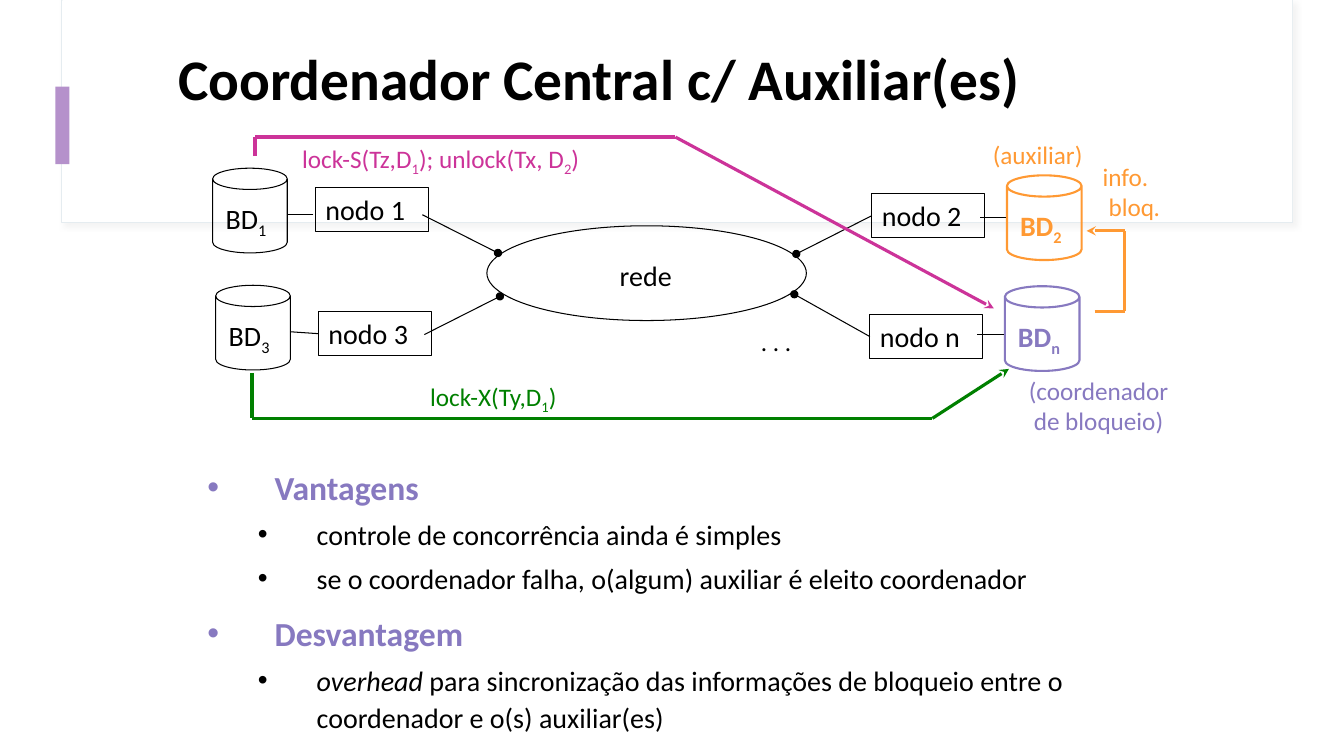
from dataclasses import dataclass
from itertools import pairwise
from typing import Optional

from lxml import etree
from pptx import Presentation
from pptx.dml import color as dml
from pptx.enum import shapes, text
from pptx.oxml import ns
from pptx.util import Pt

FONT = "Calibri"
COLOURS = {
    "black": "000000", "white": "FFFFFF", "frame": "E5ECF0", "shade": "D9D9D9",
    "accent": "B591CB", "orange": "FF9933", "purple": "8779C0",
    "green": "008000", "magenta": "CC3399",
}
KIND = shapes.MSO_SHAPE
ALIGN = text.PP_ALIGN
ANCHOR = text.MSO_ANCHOR


@dataclass
class Label:
    """Lines of text; parts between ~ are subscripts, between | italics."""
    left: float
    top: float
    width: float
    height: float
    lines: list[str]
    colour: str = "black"
    size: float = 18
    bold: bool = False
    wrap: bool = False
    aligns: tuple = (ALIGN.LEFT, ALIGN.LEFT)


@dataclass
class Database:
    left: float
    top: float
    index: str
    colour: str = "black"
    line_width: float = 0.75
    bold: bool = False


@dataclass
class Node:
    left: float
    top: float
    name: str


@dataclass
class Route:
    points: list[tuple[float, float]]
    colour: str = "black"
    width: float = 0.75
    head: Optional[str] = None
    tail: Optional[str] = None
    start_node: Optional[str] = None
    end_node: Optional[str] = None


CENTRED = (ALIGN.CENTER, ALIGN.CENTER)
LABELS = [
    Label(435.6, 181.4, 57.6, 31.7, ["rede"], size=20),
    Label(536.4, 229.7, 36.7, 28.8, [". . ."]),
    Label(717.8, 264.2, 133.9, 51.1, ["(coordenador", "de bloqueio)"], "purple", aligns=CENTRED),
    Label(300.2, 268.6, 121, 28.8, ["lock-X(Ty,D~1~)"], "green"),
    Label(208.8, 98.6, 244.8, 28.8, ["lock-S(Tz,D~1~); unlock(Tx, D~2~)"], "magenta"),
    Label(780.5, 111.6, 59.8, 50.4, ["info.", "bloq|.|"], "orange", wrap=True,
          aligns=(ALIGN.LEFT, ALIGN.CENTER)),
    Label(699.1, 95.8, 84.2, 28.8, ["(auxiliar)"], "orange", aligns=CENTRED),
]
DATABASES = [
    Database(151.9, 120.2, "1"),
    Database(154.1, 203.8, "3"),
    Database(719.3, 125.3, "2", "orange", 1.5, True),
    Database(717.8, 204.5, "n", "purple", 1.5, True),
]
NODES = [
    Node(225.4, 133.9, "nodo 1"),
    Node(622.8, 138.2, "nodo 2"),
    Node(227.5, 222.5, "nodo 3"),
    Node(621.4, 224.6, "nodo n"),
]
ROUTES = [
    Route([(355.7, 180.7), (301.7, 153.4)], head="oval"),
    Route([(568.8, 181.4), (623, 154)], head="oval", end_node="nodo 2"),
    Route([(357.1, 211.7), (303.1, 239)], head="oval"),
    Route([(567.4, 210.2), (621.4, 240.4)], head="oval", end_node="nodo n"),
    Route([(223.9, 153.4), (205.2, 153.4)]),
    Route([(227.5, 238), (207.4, 237)], start_node="nodo 3"),
    Route([(718.6, 155.5), (699.8, 155.5)]),
    Route([(717.1, 239), (697.7, 239)]),
    Route([(180, 266.4), (180, 298.8), (666, 298.8), (720.7, 263.5)], "green", 2.25, tail="stealth"),
    Route([(182.2, 111.6), (182.2, 97.9), (482.4, 97.9), (709.9, 220.3)], "magenta", 2.25, tail="stealth"),
    Route([(781.9, 222.5), (803.5, 222.5), (803.5, 164.9), (776.2, 164.9)], "orange", 2.25, tail="stealth"),
]
BODY = [
    (0, "Vantagens"),
    (1, "controle de concorrência ainda é simples"),
    (1, "se o coordenador falha, o(algum) auxiliar é eleito coordenador"),
    (0, "Desvantagem"),
    (1, "|overhead| para sincronização das informações de bloqueio entre o "
        "coordenador e o(s) auxiliar(es)"),
]


def rgb(name: str) -> dml.RGBColor:
    return dml.RGBColor.from_string(COLOURS[name])


def add_child(parent, tag: str, **attributes: str):
    return etree.SubElement(parent, ns.qn(tag), attributes)


def write(paragraph, markup: str, colour: str, size: float, bold: bool) -> None:
    for i, piece in enumerate(markup.split("~")):
        for j, part in enumerate(piece.split("|")):
            if not part:
                continue
            run = paragraph.add_run()
            run.text = part
            font = run.font
            font.name, font.size, font.bold = FONT, Pt(size), bold
            font.color.rgb = rgb(colour)
            if j % 2:
                font.italic = True
            if i % 2:
                run._r.get_or_add_rPr().set("baseline", "-25000")


def draw_shape(slide, kind, left: float, top: float, width: float, height: float,
               fill: Optional[str] = None, line: Optional[str] = None, line_width: float = 0.75):
    shape = slide.shapes.add_shape(kind, Pt(left), Pt(top), Pt(width), Pt(height))
    shape.shadow.inherit = False
    if fill:
        shape.fill.solid()
        shape.fill.fore_color.rgb = rgb(fill)
    else:
        shape.fill.background()
    if line:
        shape.line.color.rgb = rgb(line)
        shape.line.width = Pt(line_width)
    else:
        shape.line.fill.background()
    return shape


def draw_label(slide, label: Label) -> None:
    box = slide.shapes.add_textbox(Pt(label.left), Pt(label.top), Pt(label.width), Pt(label.height))
    frame = box.text_frame
    frame.word_wrap = label.wrap
    frame.auto_size = text.MSO_AUTO_SIZE.SHAPE_TO_FIT_TEXT
    for i, (line, align) in enumerate(zip(label.lines, label.aligns)):
        paragraph = frame.add_paragraph() if i else frame.paragraphs[0]
        paragraph.alignment = align
        write(paragraph, line, label.colour, label.size, label.bold)


def draw_database(slide, db: Database) -> None:
    can = draw_shape(slide, KIND.CAN, db.left, db.top, 53.3, 60.5, None, db.colour, db.line_width)
    can.adjustments[0] = 0.285
    draw_label(slide, Label(db.left + 2.2, db.top + 20.2, 54, 31, [f"BD~{db.index}~"],
                            db.colour, 20, db.bold, wrap=True))


def draw_node(slide, node: Node):
    box = draw_shape(slide, KIND.RECTANGLE, node.left, node.top, 80.6, 31.7, None, "black")
    frame = box.text_frame
    frame.word_wrap = False
    frame.vertical_anchor = ANCHOR.TOP
    frame.paragraphs[0].alignment = ALIGN.LEFT
    write(frame.paragraphs[0], node.name, "black", 20, False)
    return box


def draw_route(slide, route: Route, boxes: dict) -> None:
    """Draw one connector per leg, with line ends only at the outer points."""
    for start, end in pairwise(route.points):
        leg = slide.shapes.add_connector(shapes.MSO_CONNECTOR.STRAIGHT, *map(Pt, start + end))
        leg.line.color.rgb = rgb(route.colour)
        leg.line.width = Pt(route.width)
        if route.start_node and start == route.points[0]:
            leg.begin_connect(boxes[route.start_node], 1)
        if route.end_node and end == route.points[-1]:
            leg.end_connect(boxes[route.end_node], 1)
        outline = leg.line._get_or_add_ln()
        if route.head and start == route.points[0]:
            add_child(outline, "a:headEnd", type=route.head)
        if route.tail and end == route.points[-1]:
            add_child(outline, "a:tailEnd", type=route.tail)
        add_child(leg._element.spPr, "a:effectLst")


def draw_background(slide) -> None:
    card = draw_shape(slide, KIND.RECTANGLE, 43.9, 0, 879.1, 159.1, "white", "frame")
    effects = card._element.spPr.find(ns.qn("a:effectLst"))
    shadow = add_child(effects, "a:outerShdw", blurRad=str(Pt(4)), dist=str(Pt(3)), dir="2700000")
    shade = add_child(shadow, "a:srgbClr", val=COLOURS["shade"])
    add_child(shade, "a:alpha", val="30000")
    draw_shape(slide, KIND.RECTANGLE, 44.6, 0, 878.4, 158.4, "white")
    draw_shape(slide, KIND.RECTANGLE, 39.6, 61.9, 10.1, 55.4, "accent")


def draw_title(slide) -> None:
    frame = slide.shapes.add_textbox(Pt(120.2), Pt(13.7), Pt(720), Pt(90)).text_frame
    frame.word_wrap = True
    frame.vertical_anchor = ANCHOR.MIDDLE
    frame.paragraphs[0].line_spacing = 0.9
    write(frame.paragraphs[0], "Coordenador Central c/ Auxiliar(es)", "black", 41, True)


def draw_body(slide) -> None:
    frame = slide.shapes.add_textbox(Pt(141.1), Pt(326.9), Pt(671.8), Pt(200.2)).text_frame
    frame.word_wrap = True
    for i, (level, line) in enumerate(BODY):
        paragraph = frame.add_paragraph() if i else frame.paragraphs[0]
        paragraph.level = level
        paragraph.line_spacing = 1.1
        paragraph.space_before = Pt((5 if level else 10) if i else 0)
        margin, hang = (78, 42) if level else (48, 48)
        props = paragraph._p.get_or_add_pPr()
        props.set("marL", str(Pt(margin)))
        props.set("indent", str(-Pt(hang)))
        add_child(props, "a:buFont", typeface="Arial")
        add_child(props, "a:buChar", char="•")
        write(paragraph, line, "black" if level else "purple", 20 if level else 24, not level)


def main() -> None:
    deck = Presentation()
    deck.slide_width, deck.slide_height = Pt(960), Pt(540)
    slide = deck.slides.add_slide(deck.slide_layouts[6])
    draw_background(slide)
    draw_title(slide)
    draw_shape(slide, KIND.OVAL, 347.8, 161.3, 228.2, 67.7, None, "black")
    boxes = {node.name: draw_node(slide, node) for node in NODES}
    for db in DATABASES:
        draw_database(slide, db)
    for route in ROUTES:
        draw_route(slide, route, boxes)
    for label in LABELS:
        draw_label(slide, label)
    draw_body(slide)
    deck.save("out.pptx")


if __name__ == "__main__":
    main()
